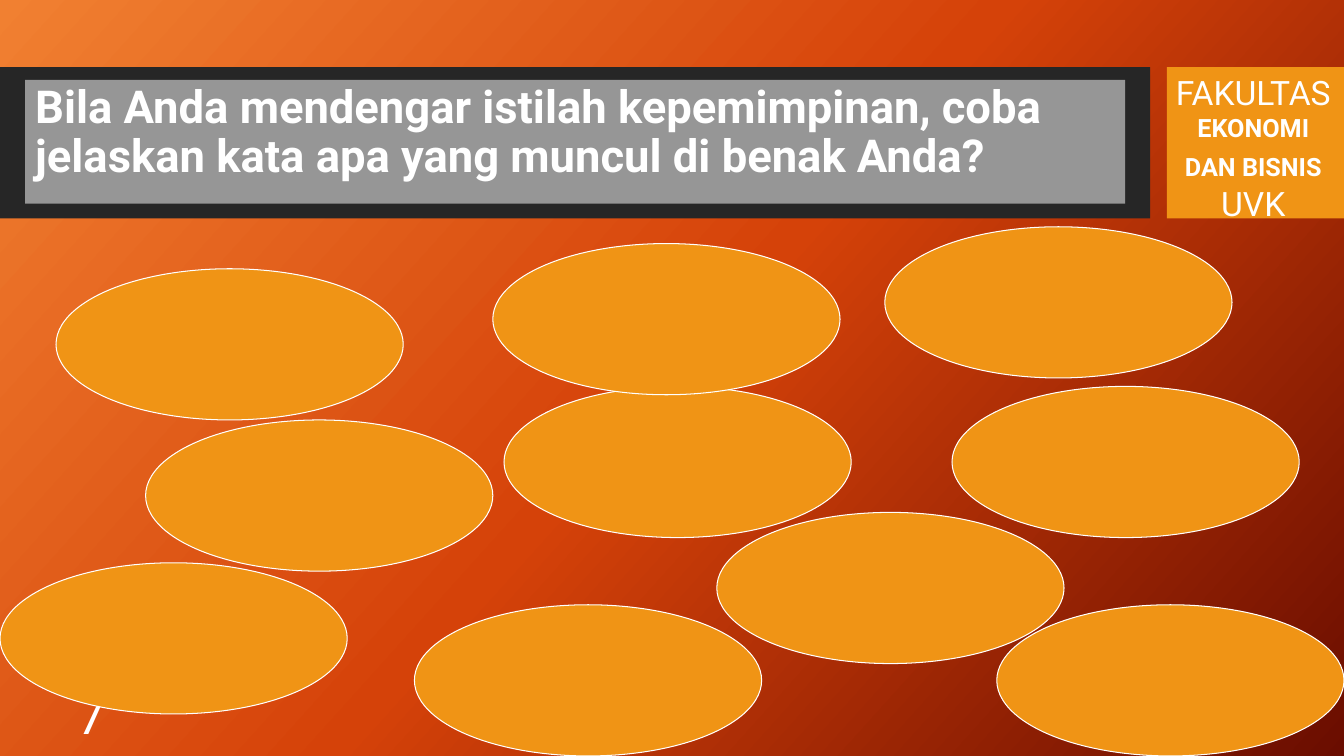
from copy import deepcopy

from pptx import Presentation
from pptx import util as u
from pptx.dml.color import RGBColor
from pptx.enum import shapes, text

THEME = {
    "font": "Roboto",
    "white": RGBColor.from_string("FFFFFF"),
    "orange": RGBColor.from_string("F09415"),
    "charcoal": RGBColor.from_string("262626"),
    "grey": RGBColor.from_string("969696"),
    "gradient": ((0, "F18031"), (0.5, "D54209"), (1, "6A0D00")),
    "gradient_angle": 360 - 42,
    "title_size": 32.4,
    "number_size": 36,
    "badge_large": 24,
    "badge_small": 18,
    "outline": 0.75,
}

deck = Presentation()
deck.slide_width, deck.slide_height = u.Inches(13.33), u.Inches(7.5)
COLUMN, ROW = deck.slide_width / 120, deck.slide_height / 90
page = deck.slides.add_slide(deck.slide_layouts[6])


def add_panel(kind, place, color=None, outlined=False):
    """Add a shape at (left, top, width, height), counted in columns and rows."""
    left, top, width, height = place
    panel = page.shapes.add_shape(
        kind, int(left * COLUMN), int(top * ROW), int(width * COLUMN), int(height * ROW))
    panel.shadow.inherit = False
    if color is None:
        panel.fill.background()
    else:
        panel.fill.solid()
        panel.fill.fore_color.rgb = color
    if outlined:
        panel.line.color.rgb = THEME["white"]
        panel.line.width = u.Pt(THEME["outline"])
    else:
        panel.line.fill.background()
    return panel


def write(panel, spans, frame_format, para_format):
    """Fill a panel with one paragraph of (words, size, bold) spans."""
    frame = panel.text_frame
    para = frame.paragraphs[0]
    for target, values in ((frame, {"word_wrap": True, **frame_format}), (para, para_format)):
        for name, value in values.items():
            setattr(target, name, value)
    for words, size, bold in spans:
        span = para.add_run()
        span.text = words
        font = {"name": THEME["font"], "size": u.Pt(size), "bold": bold}
        for name, value in font.items():
            setattr(span.font, name, value)
        span.font.color.rgb = THEME["white"]


# Background
backdrop = page.background.fill
backdrop.gradient()
backdrop.gradient_angle = THEME["gradient_angle"]
stop_list = page.element.xpath(".//a:gsLst")[0]
stop_list.insert(1, deepcopy(stop_list[0]))
for stop, (position, color) in zip(backdrop.gradient_stops, THEME["gradient"]):
    stop.position = position
    stop.color.rgb = RGBColor.from_string(color)

# Header
BOX = shapes.MSO_SHAPE.RECTANGLE
add_panel(BOX, (0, 8, 102.7, 18), THEME["charcoal"])
add_panel(BOX, (104.2, 8, 15.8, 18), THEME["orange"])
title = add_panel(BOX, (2.25, 9.5, 98.2, 14.75), THEME["grey"])
write(title,
      [("Bila Anda mendengar istilah kepemimpinan, coba jelaskan kata apa yang muncul "
        "di benak Anda?", THEME["title_size"], True)],
      {"vertical_anchor": text.MSO_ANCHOR.TOP},
      {"alignment": text.PP_ALIGN.LEFT, "line_spacing": 0.9})

# Page number, partly behind the lower left bubble
number = add_panel(BOX, (6, 82, 28, 6))
write(number, [("7", THEME["number_size"], False)],
      {"vertical_anchor": text.MSO_ANCHOR.MIDDLE},
      {"alignment": text.PP_ALIGN.LEFT})

# Empty answer bubbles, from back to front
BUBBLE_SIZE = (31, 18)
BUBBLE_CORNERS = ((5, 32), (64, 61), (85, 46), (13, 50), (45, 46),
                  (37, 72), (44, 29), (0, 67), (89, 72), (79, 27))
for corner in BUBBLE_CORNERS:
    add_panel(shapes.MSO_SHAPE.OVAL, corner + BUBBLE_SIZE, THEME["orange"], outlined=True)

# Faculty badge
badge = add_panel(BOX, (103.8, 8, 16.2, 19.4))
write(badge,
      [("FAKULTAS ", THEME["badge_large"], False),
       ("EKONOMI DAN BISNIS", THEME["badge_small"], True),
       (" UVK", THEME["badge_large"], False)],
      {"vertical_anchor": text.MSO_ANCHOR.TOP},
      {"alignment": text.PP_ALIGN.CENTER})

deck.save("out.pptx")
